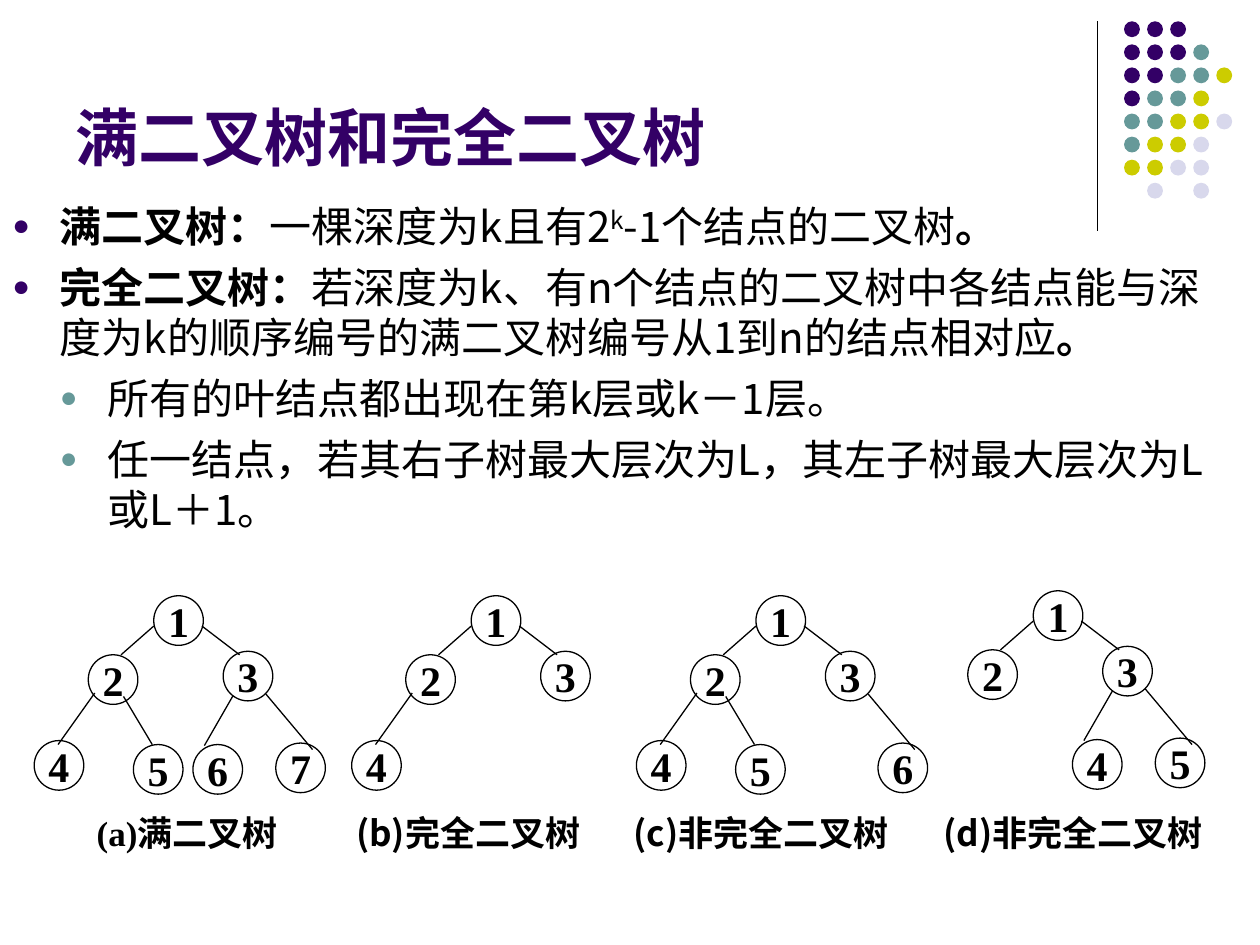
from dataclasses import dataclass
from typing import Optional

import pptx
import pptx.dml.color
import pptx.enum.shapes
import pptx.enum.text
import pptx.oxml
import pptx.oxml.ns
import pptx.util
from pptx.util import Cm, Pt

BLACK, PURPLE, TEAL, OLIVE, LILAC = "000000", "330066", "669999", "CCCC00", "D8D8EC"
SANS, SERIF, TITLE_FONT = "Noto Sans CJK SC", "Times New Roman", "Arial"
DOT_COLOURS = {"P": PURPLE, "T": TEAL, "Y": OLIVE, "L": LILAC}
DOT_ROWS = ["PPP", "PPPT", "PPTTY", "PTTY", "TTYYL", "TYYL", "YYLL", " L L"]
DOT_SIZE, DOT_PITCH = 0.32, 0.465
NODE_SIZE = 1.0


@dataclass
class Span:
    text: str
    bold: bool = False
    font: str = SANS
    raised: bool = False


@dataclass
class Bullet:
    spans: list[Span]
    level: int = 0


@dataclass
class Slot:
    left: float
    top: float
    edge: Optional[tuple[float, float, float, float]] = None


@dataclass
class Tree:
    left: float
    top: float
    labels: dict[int, str]
    caption: list[Span]
    caption_left: float
    caption_width: float


SLOTS = {
    1: Slot(0, 0),
    2: Slot(-1.32, 1.19, (0, 0.61, -0.66, 1.19)),
    3: Slot(1.4, 1.12, (0.97, 0.61, 1.73, 1.19)),
    4: Slot(-2.41, 2.92, (-1.19, 1.96, -1.93, 3.0)),
    5: Slot(-0.41, 3.0, (-0.61, 2.03, -0.03, 3.0)),
    6: Slot(0.79, 3.0, (1.6, 2.01, 1.02, 3.02)),
    7: Slot(2.46, 2.97, (2.26, 1.98, 3.2, 3.1)),
}

TREES = [
    Tree(3.1, 12.01, {slot: str(slot) for slot in SLOTS},
         [Span("(a)", True, SERIF), Span("满二叉树", True)], 1.7, 5.72),
    Tree(9.5, 12.01, {1: "1", 2: "2", 3: "3", 4: "4"},
         [Span("(b)完全二叉树", True)], 6.93, 5.49),
    Tree(15.24, 12.01, {1: "1", 2: "2", 3: "3", 4: "4", 5: "5", 7: "6"},
         [Span("(c)非完全二叉树", True)], 12.52, 6.2),
    Tree(20.83, 11.91, {1: "1", 2: "2", 3: "3", 6: "4", 7: "5"},
         [Span("(d)非完全二叉树", True)], 18.77, 6.2),
]

BULLETS = [
    Bullet([Span("满二叉树：", True), Span("一棵深度为k且有2"), Span("k", raised=True),
            Span("-1个结点的二叉树"), Span("。", True)]),
    Bullet([Span("完全二叉树：", True),
            Span("若深度为k、有n个结点的二叉树中各结点能与深度为k的顺序编号的满二叉树编号从1到n的结点相对应"),
            Span("。", True)]),
    Bullet([Span("所有的叶结点都出现在第k层或k－1层。")], 1),
    Bullet([Span("任一结点，若其右子树最大层次为L，其左子树最大层次为L或L＋1。")], 1),
]


def colour(value: str) -> pptx.dml.color.RGBColor:
    return pptx.dml.color.RGBColor.from_string(value)


def write(paragraph, spans: list[Span], size: float, ink: str = BLACK) -> None:
    for item in spans:
        span = paragraph.add_run()
        span.text = item.text
        span.font.size, span.font.bold, span.font.name = Pt(size), item.bold, item.font
        span.font.color.rgb = colour(ink)
        properties = span.font._element
        east_asian = pptx.oxml.parse_xml(
            f'<a:ea {pptx.oxml.ns.nsdecls("a")} typeface="{SANS}"/>')
        properties.find(pptx.oxml.ns.qn("a:latin")).addnext(east_asian)
        if item.raised:
            properties.set("baseline", "30000")


def add_text(page, left: float, top: float, width: float, height: float, wrap: bool = True):
    box = page.shapes.add_textbox(Cm(left), Cm(top), Cm(width), Cm(height))
    box.text_frame.word_wrap = wrap
    return box.text_frame


def add_line(shapes, left: float, top: float, right: float, bottom: float) -> None:
    line = shapes.add_connector(pptx.enum.shapes.MSO_CONNECTOR.STRAIGHT,
                                Cm(left), Cm(top), Cm(right), Cm(bottom))
    line.line.color.rgb, line.line.width = colour(BLACK), Pt(0.75)
    line._element.spPr.append(
        pptx.oxml.parse_xml(f'<a:effectLst {pptx.oxml.ns.nsdecls("a")}/>'))


def add_circle(shapes, left: float, top: float, size: float):
    circle = shapes.add_shape(pptx.enum.shapes.MSO_SHAPE.OVAL,
                              Cm(left), Cm(top), Cm(size), Cm(size))
    circle.shadow.inherit = False
    return circle


def add_dots(page) -> None:
    shapes = page.shapes.add_group_shape().shapes
    for row, pattern in enumerate(DOT_ROWS):
        for column, key in enumerate(pattern):
            if key in DOT_COLOURS:
                dot = add_circle(shapes, 22.66 + column * DOT_PITCH,
                                 0.43 + row * DOT_PITCH, DOT_SIZE)
                dot.fill.solid()
                dot.fill.fore_color.rgb = colour(DOT_COLOURS[key])
                dot.line.fill.background()


def add_bullet(paragraph, bullet: Bullet) -> None:
    properties = paragraph._p.get_or_add_pPr()
    indent = Cm(0.96)
    properties.set("marL", str(indent * (bullet.level + 1)))
    properties.set("indent", str(-indent))
    paragraph.level = bullet.level
    paragraph.line_spacing = Pt(28.8)
    names = pptx.oxml.ns.nsdecls("a")
    tint = (PURPLE, TEAL)[bullet.level]
    for piece in (f'<a:buClr {names}><a:srgbClr val="{tint}"/></a:buClr>',
                  f'<a:buSzPct {names} val="70000"/>',
                  f'<a:buFont {names} typeface="{TITLE_FONT}"/>',
                  f'<a:buChar {names} char="●"/>'):
        properties.append(pptx.oxml.parse_xml(piece))
    write(paragraph, bullet.spans, 24)


def add_tree(page, tree: Tree) -> None:
    shapes = page.shapes.add_group_shape().shapes
    for slot, label in tree.labels.items():
        place = SLOTS[slot]
        node = add_circle(shapes, tree.left + place.left, tree.top + place.top, NODE_SIZE)
        node.fill.background()
        node.line.color.rgb, node.line.width = colour(BLACK), Pt(0.75)
        frame = node.text_frame
        frame.word_wrap = False
        frame.vertical_anchor = pptx.enum.text.MSO_ANCHOR.MIDDLE
        frame.paragraphs[0].alignment = pptx.enum.text.PP_ALIGN.CENTER
        write(frame.paragraphs[0], [Span(label, True, SERIF)], 24)
        if place.edge:
            x1, y1, x2, y2 = place.edge
            add_line(shapes, tree.left + x1, tree.top + y1, tree.left + x2, tree.top + y2)
    frame = add_text(page, tree.caption_left, 16.23, tree.caption_width, 1.12, False)
    write(frame.paragraphs[0], tree.caption, 20)


def main() -> None:
    """Build the slide on full and complete binary trees."""
    deck = pptx.Presentation()
    deck.slide_width, deck.slide_height = Cm(25.4), Cm(19.05)
    page = deck.slides.add_slide(deck.slide_layouts[6])
    add_line(page.shapes, 22.12, 0.43, 22.12, 4.65)
    add_dots(page)

    title = add_text(page, 1.27, 1.35, 20.95, 2.29)
    title.vertical_anchor = pptx.enum.text.MSO_ANCHOR.BOTTOM
    write(title.paragraphs[0], [Span("满二叉树和完全二叉树", True, TITLE_FONT)], 36, PURPLE)

    body = add_text(page, 0, 3.91, 24.77, 7.42)
    for number, bullet in enumerate(BULLETS):
        paragraph = body.add_paragraph() if number else body.paragraphs[0]
        if number:
            paragraph.space_before = Pt(6)
        add_bullet(paragraph, bullet)

    for tree in TREES:
        add_tree(page, tree)
    deck.save("out.pptx")


if __name__ == "__main__":
    main()
